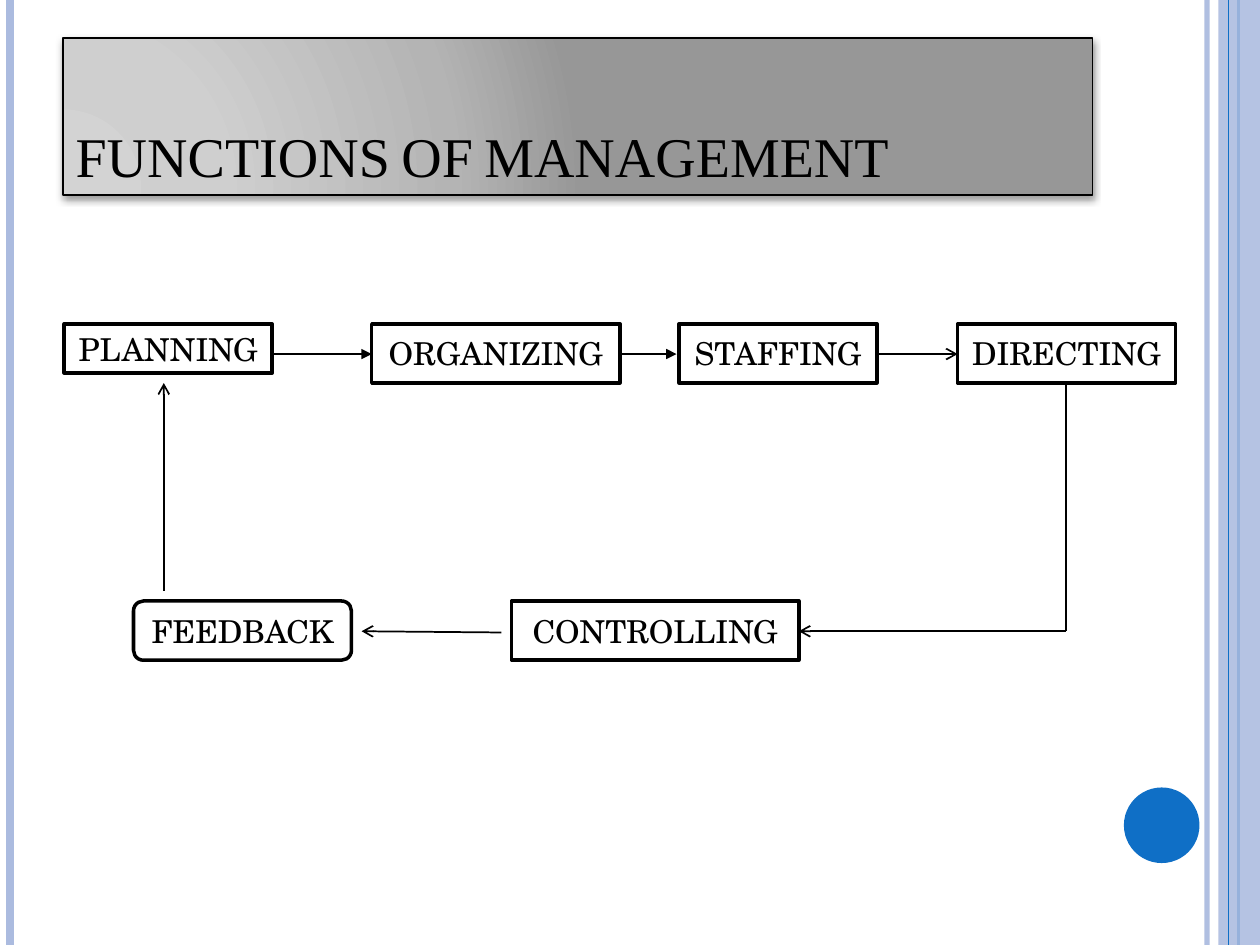
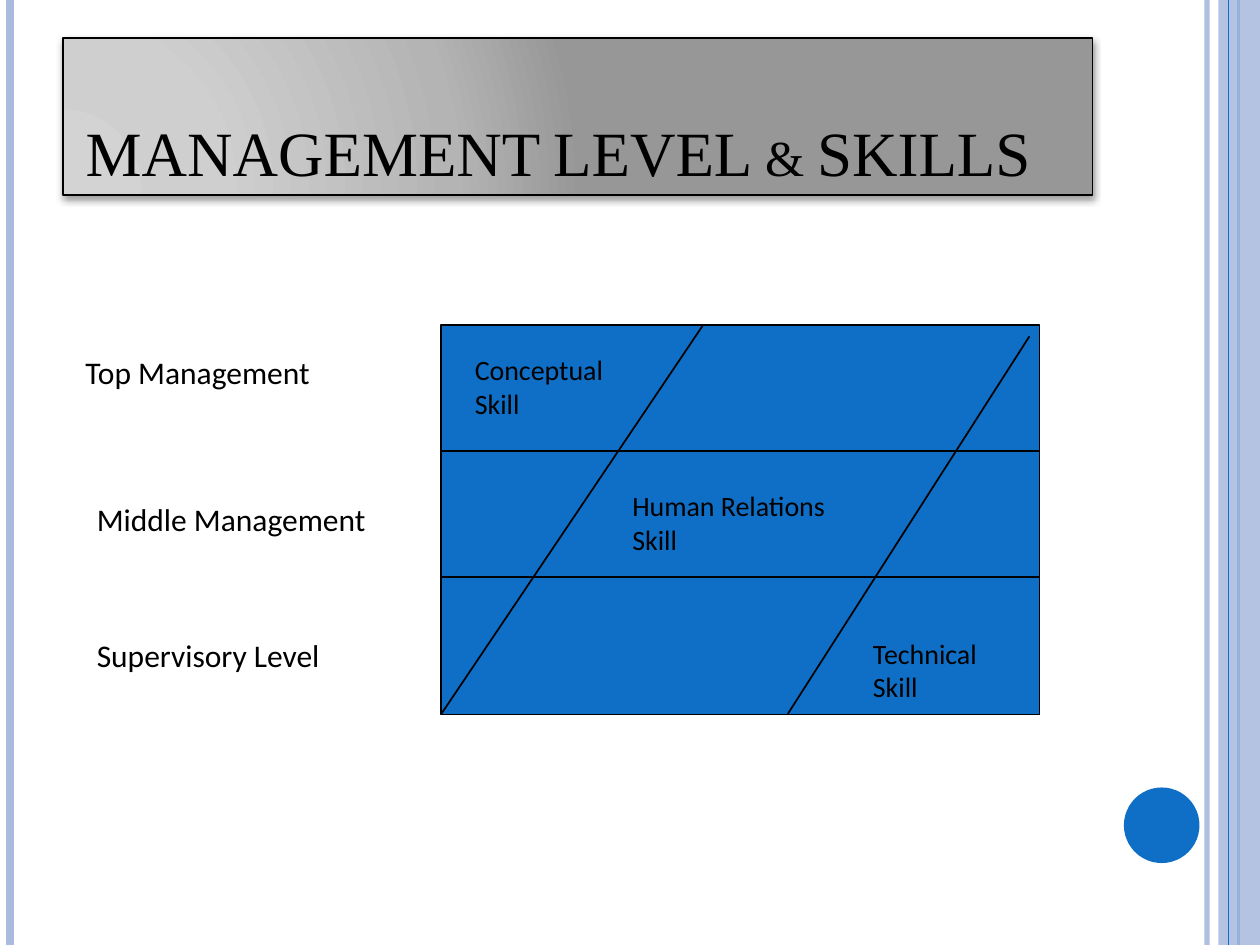
"""Build two management slides: the functions cycle and the skills by level."""
import dataclasses
import typing

import lxml.etree
import pptx
import pptx.dml.color
import pptx.enum.shapes
import pptx.enum.text
import pptx.oxml
import pptx.oxml.ns
import pptx.presentation
import pptx.slide
import pptx.util

Inches = pptx.util.Inches
Pt = pptx.util.Pt
RGBColor = pptx.dml.color.RGBColor
SHAPE = pptx.enum.shapes.MSO_SHAPE
ANCHOR = pptx.enum.text.MSO_ANCHOR
ALIGN = pptx.enum.text.PP_ALIGN
qn = pptx.oxml.ns.qn

BLACK = RGBColor(0x00, 0x00, 0x00)
WHITE = RGBColor(0xFF, 0xFF, 0xFF)
BLUE = RGBColor(0x0F, 0x6F, 0xC6)
PALE = RGBColor(0xAB, 0xBB, 0xDF)
TITLE_STOPS = (
    (0, RGBColor(0xD3, 0xD3, 0xD3)),
    (30, RGBColor(0xCF, 0xCF, 0xCF)),
    (75, RGBColor(0xB4, 0xB4, 0xB4)),
    (100, RGBColor(0x97, 0x97, 0x97)),
)
TITLE_FONT, BOX_FONT, LABEL_FONT = "Times New Roman", "TeX Gyre Schola", "Calibri"
WIDTH, HEIGHT = 10, 7.5


@dataclasses.dataclass(frozen=True)
class Box:
    """A filled shape, with lengths in inches and an optional centred text."""

    left: float
    top: float
    width: float
    height: float
    text: str = ""
    kind: SHAPE = SHAPE.RECTANGLE
    fill: RGBColor = WHITE
    border: float = 2
    alpha: int = 100


@dataclasses.dataclass(frozen=True)
class Stroke:
    """A straight line between two points, with an optional arrowhead."""

    x1: float
    y1: float
    x2: float
    y2: float
    weight: float = 1
    head: str = ""
    color: RGBColor = BLACK
    alpha: int = 100


@dataclasses.dataclass(frozen=True)
class Label:
    """A text box."""

    text: str
    left: float
    top: float
    width: float
    height: float
    size: int


def rule(x: float, weight: float, color: RGBColor, alpha: int = 100) -> Stroke:
    """Return a vertical line over the full slide height."""
    return Stroke(x, 0, x, HEIGHT, weight, color=color, alpha=alpha)


FRAME = (
    rule(9.58, 3, PALE, 93),
    rule(0.08, 4.5, PALE),
    rule(9.83, 1.5, BLUE),
    Box(9.67, 0, 0.33, HEIGHT, fill=PALE, border=0, alpha=87),
    rule(9.75, 0.75, BLUE),
    Box(8.92, 6.25, 0.6, 0.6, kind=SHAPE.OVAL, fill=BLUE, border=0),
)

ROW_1, ROW_2, BOX_H = 2.57, 4.77, 0.47
MID_1, MID_2 = 2.81, 5.01
FUNCTIONS = (
    Box(0.51, ROW_1, 1.65, 0.39, "PLANNING"),
    Box(2.95, ROW_1, 1.97, BOX_H, "ORGANIZING"),
    Box(5.39, ROW_1, 1.57, BOX_H, "STAFFING"),
    Box(7.6, ROW_1, 1.73, BOX_H, "DIRECTING"),
    Box(4.06, ROW_2, 2.28, BOX_H, "CONTROLLING"),
    Box(1.06, ROW_2, 1.73, BOX_H, "FEEDBACK", SHAPE.ROUNDED_RECTANGLE),
    Stroke(2.17, MID_1, 2.95, MID_1, 0.75, "triangle"),
    Stroke(4.92, MID_1, 5.37, MID_1, 0.75, "triangle"),
    Stroke(6.97, MID_1, 7.6, MID_1, head="arrow"),
    Stroke(8.46, ROW_1 + BOX_H, 8.46, MID_2),
    Stroke(8.46, MID_2, 6.34, MID_2, head="arrow"),
    Stroke(3.98, 5.02, 2.87, MID_2, head="arrow"),
    Stroke(1.3, 4.69, 1.3, ROW_1 + BOX_H, head="arrow"),
)

GRID_L, GRID_T, GRID_R, GRID_B = 3.5, 2.58, 8.25, 5.67
SKILLS = (
    Label("Top Management", 0.58, 2.75, 2.67, 0.4, 18),
    Label("Middle Management", 0.67, 3.92, 2.67, 0.7, 18),
    Label("Supervisory Level", 0.67, 5, 2.67, 0.4, 18),
    Box(GRID_L, GRID_T, GRID_R - GRID_L, GRID_B - GRID_T, fill=BLUE, border=1),
    *(Stroke(GRID_L, GRID_T + i, GRID_R, GRID_T + i) for i in (1, 2)),
    Stroke(GRID_L, GRID_B, 5.58, GRID_T),
    Stroke(8.17, 2.67, 6.25, GRID_B),
    Label("Conceptual Skill", 3.67, 2.75, 1.5, 0.64, 16),
    Label("Human Relations Skill", 4.92, 3.83, 2, 0.64, 16),
    Label("Technical Skill", 6.83, 5, 1.33, 0.64, 16),
)

Item = typing.Union[Box, Stroke, Label]


def assign(target: typing.Any, values: dict[str, typing.Any]) -> None:
    """Set each named attribute of the target."""
    for name, value in values.items():
        setattr(target, name, value)


def style_font(font: typing.Any, name: str, size: float) -> None:
    """Give a font its face, size and black colour."""
    assign(font, {"name": name, "size": Pt(size), "bold": False})
    font.color.rgb = BLACK


def set_alpha(sp: typing.Any, alpha: int) -> None:
    """Make the first colour of a shape partly transparent."""
    if alpha < 100:
        color = next(sp._element.spPr.iter(qn("a:srgbClr")))
        lxml.etree.SubElement(color, qn("a:alpha")).set("val", str(alpha * 1000))


def draw_box(s: pptx.slide.Slide, box: Box) -> None:
    """Draw a filled shape."""
    place = map(Inches, (box.left, box.top, box.width, box.height))
    sp = s.shapes.add_shape(box.kind, *place)
    sp.shadow.inherit = False
    sp.fill.solid()
    sp.fill.fore_color.rgb = box.fill
    set_alpha(sp, box.alpha)
    if box.border:
        sp.line.color.rgb = BLACK
        sp.line.width = Pt(box.border)
    else:
        sp.line.fill.background()
    if box.text:
        tf = sp.text_frame
        assign(tf, {"word_wrap": False, "vertical_anchor": ANCHOR.MIDDLE})
        p = tf.paragraphs[0]
        assign(p, {"text": box.text, "alignment": ALIGN.CENTER})
        style_font(p.runs[0].font, BOX_FONT, 18)


def draw_stroke(s: pptx.slide.Slide, stroke: Stroke) -> None:
    """Draw a line or an arrow."""
    ends = map(Inches, (stroke.x1, stroke.y1, stroke.x2, stroke.y2))
    sp = s.shapes.add_connector(pptx.enum.shapes.MSO_CONNECTOR.STRAIGHT, *ends)
    sp.line.color.rgb = stroke.color
    sp.line.width = Pt(stroke.weight)
    set_alpha(sp, stroke.alpha)
    if stroke.head:
        tail = lxml.etree.SubElement(sp.line._get_or_add_ln(), qn("a:tailEnd"))
        tail.set("type", stroke.head)
    lxml.etree.SubElement(sp._element.spPr, qn("a:effectLst"))


def draw_label(s: pptx.slide.Slide, label: Label) -> None:
    """Draw a wrapped text box."""
    place = map(Inches, (label.left, label.top, label.width, label.height))
    tf = s.shapes.add_textbox(*place).text_frame
    tf.word_wrap = True
    p = tf.paragraphs[0]
    p.text = label.text
    style_font(p.runs[0].font, LABEL_FONT, label.size)


def draw_title(s: pptx.slide.Slide, text: str, size: int, inset: float) -> None:
    """Format the title placeholder as a shaded band."""
    sp = s.shapes.title
    assign(sp, {"left": Inches(0.5), "top": Inches(0.3),
                "width": Inches(8.17), "height": Inches(1.25)})
    sp.line.color.rgb = BLACK
    sp.line.width = Pt(1)
    ns = pptx.oxml.ns.nsdecls("a")
    stops = "".join(f'<a:gs pos="{pos * 1000}"><a:srgbClr val="{color}"/></a:gs>'
                    for pos, color in TITLE_STOPS)
    sp._element.spPr.find(qn("a:ln")).addprevious(pptx.oxml.parse_xml(
        f'<a:gradFill {ns} rotWithShape="1"><a:gsLst>{stops}</a:gsLst>'
        '<a:path path="circle"><a:fillToRect l="5000" t="100000" r="120000" b="10000"/>'
        '</a:path></a:gradFill>'))
    sp._element.spPr.append(pptx.oxml.parse_xml(
        f'<a:effectLst {ns}><a:outerShdw blurRad="{Pt(4)}" dist="{Pt(2)}" dir="5400000" '
        f'rotWithShape="0"><a:srgbClr val="{BLACK}"><a:alpha val="40000"/></a:srgbClr>'
        '</a:outerShdw></a:effectLst>'))
    tf = sp.text_frame
    assign(tf, {"word_wrap": True, "vertical_anchor": ANCHOR.BOTTOM,
                "auto_size": pptx.enum.text.MSO_AUTO_SIZE.NONE,
                "margin_left": Inches(inset)})
    p = tf.paragraphs[0]
    assign(p, {"text": text, "alignment": ALIGN.LEFT})
    r = p.runs[0]
    style_font(r.font, TITLE_FONT, size)
    r.font._element.set("cap", "small")


DRAW: dict[type, typing.Callable[..., None]] = {
    Box: draw_box, Stroke: draw_stroke, Label: draw_label}


def add_slide(prs: pptx.presentation.Presentation, title: str, size: int,
              inset: float, items: tuple[Item, ...]) -> None:
    """Add a slide with the shared frame, a title and its items."""
    s = prs.slides.add_slide(prs.slide_layouts[5])
    draw_title(s, title, size, inset)
    for item in FRAME + items:
        DRAW[type(item)](s, item)


def main() -> None:
    """Build and save the presentation."""
    prs = pptx.Presentation()
    assign(prs, {"slide_width": Inches(WIDTH), "slide_height": Inches(HEIGHT)})
    add_slide(prs, "FUNCTIONS OF MANAGEMENT", 32, 0.1, FUNCTIONS)
    add_slide(prs, "MANAGEMENT LEVEL & SKILLS", 36, 0.18, SKILLS)
    prs.save("out.pptx")


if __name__ == "__main__":
    main()
